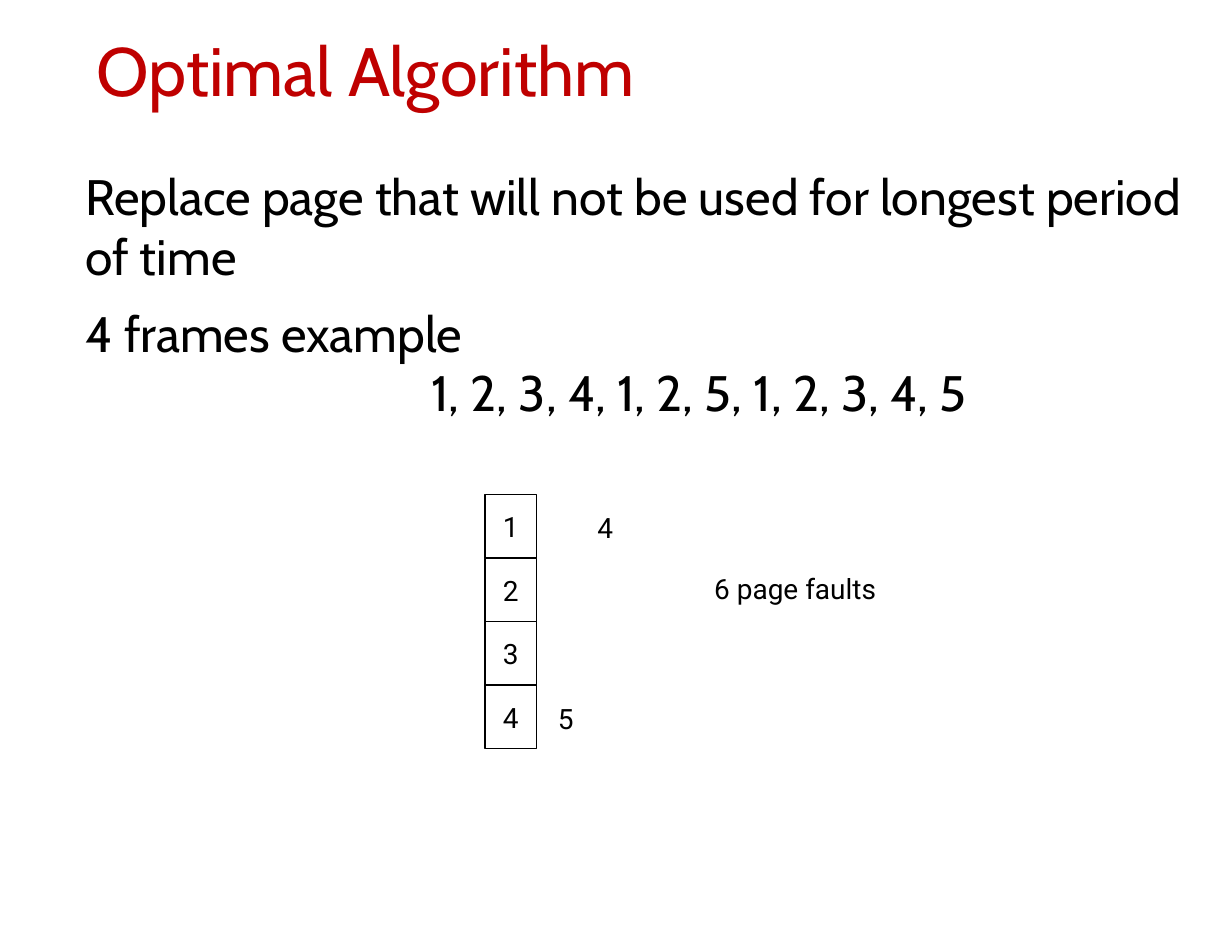
"""Build the slide on the optimal page replacement algorithm."""
import dataclasses
import typing

import lxml.etree
import pptx
import pptx.dml.color
import pptx.enum.shapes
import pptx.enum.text
import pptx.oxml.ns
import pptx.util

Pt = pptx.util.Pt
Align = pptx.enum.text.PP_ALIGN
Anchor = pptx.enum.text.MSO_ANCHOR
COLORS = {"title": "BF0000", "text": "000000", "frame": "FFFFFF", "line": "000000"}
LEFT, TOP, WIDTH, HEIGHT = 311.8, 318, 33.1, 40.8


@dataclasses.dataclass
class Line:
    text: str
    before: float = 0
    indent: float = 0


@dataclasses.dataclass
class Label:
    text: str
    left: float
    top: float
    width: float
    wrap: bool = True


LINES = [
    Line("Replace page that will not be used for longest period of time"),
    Line("4 frames example", before=11),
    Line("1, 2, 3, 4, 1, 2, 5, 1, 2, 3, 4, 5", indent=222.5),
]
LABELS = [
    Label("4", 375.8, 324.7, 26.6),
    Label("6 page faults", 446.4, 363.6, 129.6),
    Label("5", 351.4, 447.1, 24.5, wrap=False),
]


def color(name: str) -> pptx.dml.color.RGBColor:
    return pptx.dml.color.RGBColor.from_string(COLORS[name])


def style(par: typing.Any, face: str, size: float, ink: str, align: Align) -> None:
    par.font.name = face
    par.font.size = Pt(size)
    par.font.color.rgb = color(ink)
    par.alignment = align


def place(shape: typing.Any, left: float, top: float, width: float, height: float) -> typing.Any:
    shape.left, shape.top = Pt(left), Pt(top)
    shape.width, shape.height = Pt(width), Pt(height)
    frame = shape.text_frame
    frame.margin_left = frame.margin_right = frame.margin_top = frame.margin_bottom = 0
    frame.vertical_anchor = Anchor.TOP
    frame.auto_size = pptx.enum.text.MSO_AUTO_SIZE.NONE
    frame.word_wrap = True
    return frame


def write(shape: typing.Any, text: str, wrap: bool) -> None:
    frame = shape.text_frame
    frame.text = text
    frame.word_wrap = wrap
    frame.vertical_anchor = Anchor.MIDDLE
    style(frame.paragraphs[0], "Roboto", 18, "text", Align.CENTER)


def add_line(par: typing.Any, line: Line) -> None:
    par.text = line.text
    par.space_before = Pt(line.before)
    style(par, "Cabin", 32, "text", Align.LEFT)
    props = par._p.get_or_add_pPr()
    props.set("marL", str(int(Pt(line.indent))))
    props.set("indent", "0")
    bullet = lxml.etree.Element(pptx.oxml.ns.qn("a:buNone"))
    props.find(pptx.oxml.ns.qn("a:defRPr")).addprevious(bullet)


def add_frame(slide: typing.Any, row: int) -> None:
    box = slide.shapes.add_shape(
        pptx.enum.shapes.MSO_SHAPE.RECTANGLE,
        Pt(LEFT), Pt(TOP + row * HEIGHT), Pt(WIDTH), Pt(HEIGHT))
    box.shadow.inherit = False
    box.fill.solid()
    box.fill.fore_color.rgb = color("frame")
    box.line.color.rgb = color("line")
    box.line.width = Pt(0.75)
    write(box, str(row + 1), False)


def add_label(slide: typing.Any, label: Label) -> None:
    box = slide.shapes.add_textbox(
        Pt(label.left), Pt(label.top), Pt(label.width), Pt(28.8))
    write(box, label.text, label.wrap)


def main() -> None:
    deck = pptx.Presentation()
    deck.slide_width, deck.slide_height = Pt(792), Pt(612)
    slide = deck.slides.add_slide(deck.slide_layouts[1])

    title = place(slide.shapes.title, 62, 18, 690.5, 53.5)
    title.text = "Optimal Algorithm"
    style(title.paragraphs[0], "Cabin", 44, "title", Align.LEFT)

    body = place(slide.placeholders[1], 54.7, 106.6, 719.3, 476)
    for index, line in enumerate(LINES):
        add_line(body.add_paragraph() if index else body.paragraphs[0], line)

    for row in range(4):
        add_frame(slide, row)
    for label in LABELS:
        add_label(slide, label)
    deck.save("out.pptx")


main()
